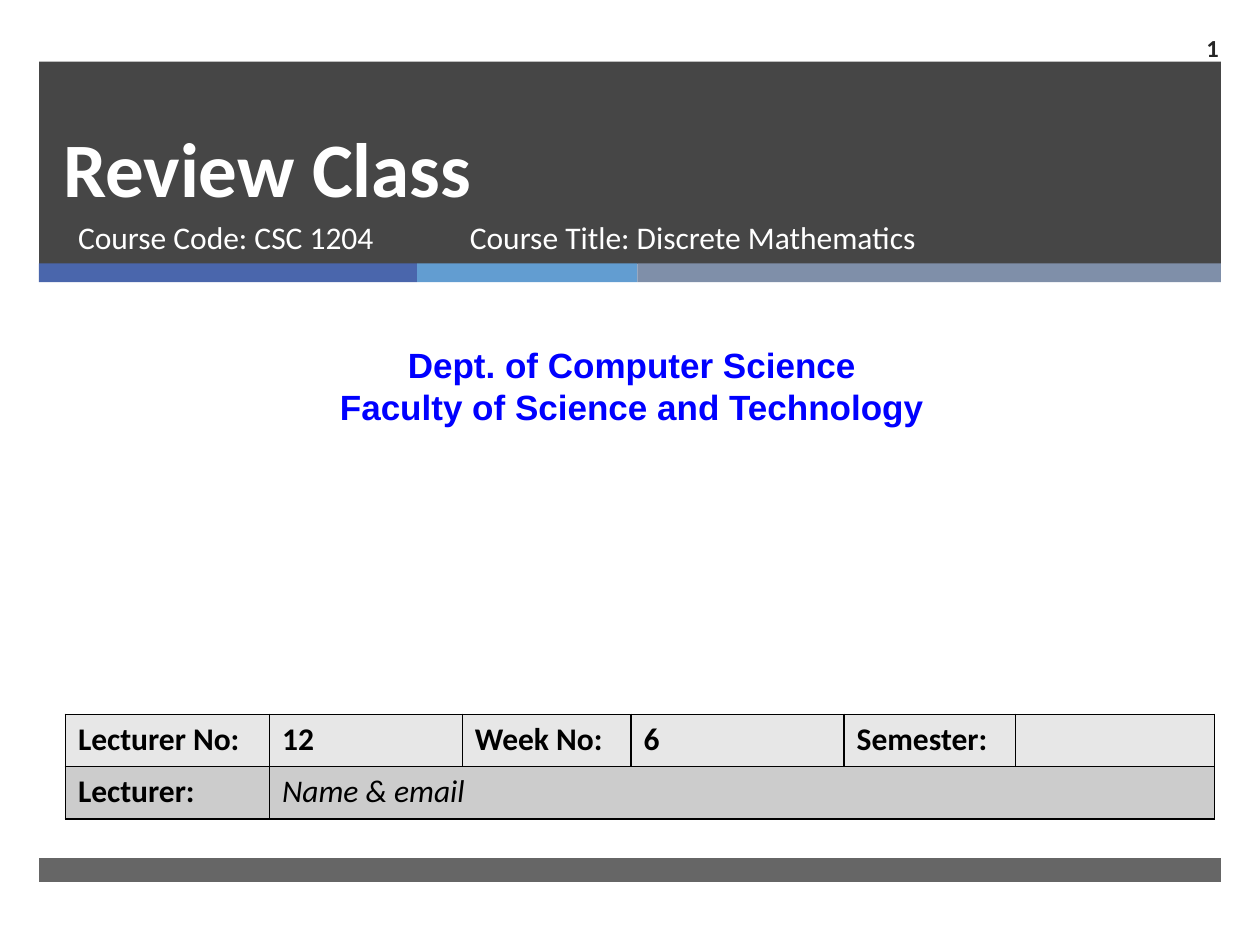
from lxml.etree import SubElement
from pptx import Presentation
from pptx.dml.color import RGBColor
from pptx.enum.shapes import MSO_SHAPE
from pptx.enum.text import MSO_ANCHOR, PP_ALIGN
from pptx.oxml.ns import qn
from pptx.util import Pt

# Content
TITLE = "Review Class"
COURSE_CODE = "Course Code: CSC 1204"
COURSE_TITLE = "Course Title: Discrete Mathematics"
DEPARTMENT = ["Dept. of Computer Science", "Faculty of Science and Technology"]
PAGE = "1"
LECTURE = [
    ["Lecturer No:", "12", "Week No:", "6", "Semester:", ""],
    ["Lecturer:", "Name & email"],
]

# Theme and geometry, in points
THEME = dict(
    font="Calibri", dept_font="Arial",
    dark="262626", white="FFFFFF", black="000000", blue="0000FF",
    stripes=["4A66AC", "629DD1", "7F8FA9"], rows=["E7E7E7", "CCCCCC"],
    title=44, dept=20, body=18, page=14,
)
LEFT, WIDTH = 22.3, 675.4
STRIPE_TOP, STRIPE_H = 150.5, 10.8
STRIPE_WIDTHS = [216, 126, 333.4]
COLS = [116.6, 110.2, 96.5, 121.7, 97.9, 113.8]
ROW_H = 29.9


def rgb(color):
    return RGBColor.from_string(color)


def add_bar(s, x, y, w, h, color, alpha=100):
    bar = s.shapes.add_shape(MSO_SHAPE.RECTANGLE, Pt(x), Pt(y), Pt(w), Pt(h))
    bar.shadow.inherit = False
    bar.fill.solid()
    bar.fill.fore_color.rgb = rgb(color)
    bar.line.fill.background()
    if alpha < 100:
        clr = bar.fill._xPr.find(qn("a:solidFill"))[0]
        SubElement(clr, qn("a:alpha"), val=str(alpha * 1000))


def write(tf, text, size=THEME["body"], color=THEME["white"], font=THEME["font"],
          bold=False, italic=False, align=PP_ALIGN.LEFT, anchor=MSO_ANCHOR.TOP,
          spacing=None):
    tf.word_wrap = True
    tf.vertical_anchor = anchor
    lines = [text] if isinstance(text, str) else text
    for i, line in enumerate(lines):
        p = tf.add_paragraph() if i else tf.paragraphs[0]
        p.alignment = align
        p.space_before = Pt(0)
        if spacing:
            p.line_spacing = Pt(spacing)
        r = p.add_run()
        r.text = line
        r.font.name, r.font.size = font, Pt(size)
        r.font.bold, r.font.italic = bold, italic
        r.font.color.rgb = rgb(color)


def place(sp, x, y, w, h):
    sp.left, sp.top, sp.width, sp.height = Pt(x), Pt(y), Pt(w), Pt(h)
    return sp.text_frame


def add_text(s, x, y, w, h, text, **fmt):
    write(s.shapes.add_textbox(Pt(x), Pt(y), Pt(w), Pt(h)).text_frame, text, **fmt)


def add_borders(cell):
    tcPr = cell._tc.get_or_add_tcPr()
    for side in ("lnL", "lnR", "lnT", "lnB"):
        ln = SubElement(tcPr, qn(f"a:{side}"), w=str(Pt(1)))
        fill = SubElement(ln, qn("a:solidFill"))
        SubElement(fill, qn("a:srgbClr"), val=THEME["black"])


def add_lecture_table(s, x, y):
    table = s.shapes.add_table(len(LECTURE), len(COLS), Pt(x), Pt(y),
                               Pt(sum(COLS)), Pt(ROW_H * len(LECTURE))).table
    for col, w in zip(table.columns, COLS):
        col.width = Pt(w)
    for i, texts in enumerate(LECTURE):
        table.rows[i].height = Pt(ROW_H)
        for j in range(len(COLS)):
            cell = table.cell(i, j)
            add_borders(cell)
            cell.fill.solid()
            cell.fill.fore_color.rgb = rgb(THEME["rows"][i])
            if j < len(texts) and texts[j]:
                note = i == 1 and j == 1
                write(cell.text_frame, texts[j], color=THEME["black"],
                      bold=not note, italic=note)
                cell.vertical_anchor = MSO_ANCHOR.TOP
    table.cell(1, 1).merge(table.cell(1, len(COLS) - 1))


prs = Presentation()
prs.slide_width, prs.slide_height = Pt(720), Pt(540)
s = prs.slides.add_slide(prs.slide_layouts[0])
title, subtitle = s.placeholders

# Header block, stripes and footer bar
add_bar(s, LEFT, 35.2, WIDTH, 115.6, THEME["dark"], alpha=85)
x = LEFT
for w, color in zip(STRIPE_WIDTHS, THEME["stripes"]):
    add_bar(s, x, STRIPE_TOP, w, STRIPE_H, color)
    x += w
add_bar(s, LEFT, 490.3, WIDTH, 13.7, THEME["dark"], alpha=70)

# Title and course, brought in front of the header
for sp in (title, subtitle):
    s.shapes._spTree.append(sp._element)
write(place(title, 28.8, 39.6, 614.9, 85.7), TITLE, size=THEME["title"],
      bold=True, anchor=MSO_ANCHOR.BOTTOM, spacing=46)
write(place(subtitle, 37.4, 121, 219.6, 38.2), COURSE_CODE)
add_text(s, 261.4, 121, 327.6, 38.2, COURSE_TITLE)

# Department
add_text(s, 5.8, 193, 710.6, 55.4, DEPARTMENT, size=THEME["dept"],
         color=THEME["blue"], font=THEME["dept_font"], bold=True,
         align=PP_ALIGN.CENTER)

# Lecture details and page number
add_lecture_table(s, 37.4, 408.2)
add_text(s, 653.8, 13, 49.7, 28.1, PAGE, size=THEME["page"], color=THEME["dark"],
         bold=True, align=PP_ALIGN.RIGHT, anchor=MSO_ANCHOR.MIDDLE)

prs.save("out.pptx")
